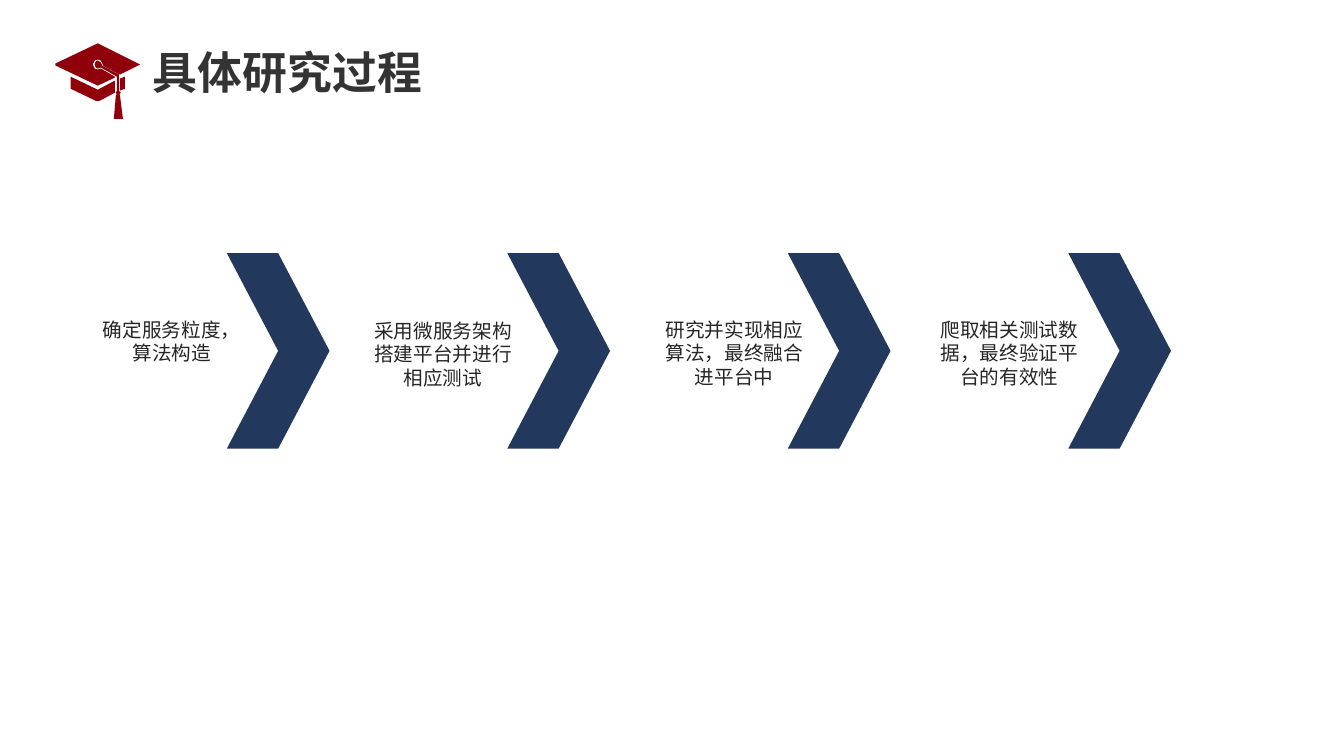
from dataclasses import dataclass

from lxml.etree import SubElement
from pptx import Presentation
from pptx.dml.color import RGBColor
from pptx.enum.shapes import MSO_SHAPE
from pptx.enum.text import MSO_ANCHOR, PP_ALIGN
from pptx.oxml.ns import qn
from pptx.shapes.autoshape import Shape
from pptx.slide import Slide
from pptx.util import Pt

FONT = "Noto Sans CJK SC"
RED, NAVY, TITLE_GREY, TEXT_GREY = "8F000B", "22385C", "333333", "262626"

CHEVRON_LEFT, CHEVRON_TOP, CHEVRON_PITCH = 162, 180.8, 200.35
CHEVRON_WIDTH, CHEVRON_HEIGHT = 73.4, 139.7
LABEL_WIDTH, LINE_HEIGHT = 105.8, 17

# Graduation cap outlines, in units of 0.72 pt
CAP_UNIT = 0.72
CAP_OUTLINES = [
    # side of the cap, right of the tassel
    [(119, 90), (124, 88), (124, 76), (119, 78)],
    # skull of the cap
    [(70, 76), (70, 88), (95, 100), (97, 100.3), (99, 100), (114, 92), (114, 80), (97, 89)],
    # button and cord
    [(118, 75), (118, 74), (101, 65), (101, 64), (100, 61.5), (97, 60), (95, 61),
     (94, 64), (95, 67), (97, 68), (100, 67), (116, 76)],
    # board, cut out around the button
    [(139, 64), (97, 43), (55, 63), (55, 65), (97, 85), (114, 77), (114, 76),
     (100, 68), (97, 69), (94, 68), (92.5, 64), (94, 60.5), (97, 59), (100.5, 60.5),
     (102, 64), (102, 65), (119, 74)],
    # tassel
    [(118, 75), (118, 90), (120, 92), (118, 94), (119, 94), (122, 118), (113, 118),
     (115, 94), (116, 94), (115, 92), (116, 90), (116, 76)],
]


@dataclass
class Step:
    text: str
    left: float
    top: float
    lines: int


STEPS = [
    Step("确定服务粒度，算法构造", 69.8, 226.8, 2),
    Step("采用微服务架构搭建平台并进行相应测试", 263.6, 227.5, 3),
    Step("研究并实现相应算法，最终融合进平台中", 471.6, 226.8, 3),
    Step("爬取相关测试数据，最终验证平台的有效性", 668.2, 226.8, 3),
]


def color(value: str) -> RGBColor:
    return RGBColor.from_string(value)


def paint(shape: Shape, fill: str) -> None:
    shape.shadow.inherit = False
    shape.fill.solid()
    shape.fill.fore_color.rgb = color(fill)
    shape.line.fill.background()


def add_text(page: Slide, text: str, left: float, top: float, width: float,
             height: float, size: float, ink: str, bold: bool = False) -> Shape:
    box = page.shapes.add_textbox(Pt(left), Pt(top), Pt(width), Pt(height))
    box.text_frame.word_wrap = True
    para = box.text_frame.paragraphs[0]
    para.text = text
    para.font.name = FONT
    para.font.size = Pt(size)
    para.font.bold = bold
    para.font.color.rgb = color(ink)
    # East Asian typeface
    defaults = para._p.pPr.find(qn("a:defRPr"))
    SubElement(defaults, qn("a:ea")).set("typeface", FONT)
    return box


def add_cap(page: Slide) -> None:
    first, *others = CAP_OUTLINES
    builder = page.shapes.build_freeform(*first[0], scale=Pt(CAP_UNIT))
    builder.add_line_segments(first[1:], close=True)
    for outline in others:
        builder.move_to(*outline[0])
        builder.add_line_segments(outline[1:], close=True)
    paint(builder.convert_to_shape(), RED)


def add_title(page: Slide, text: str) -> None:
    box = add_text(page, text, 102.2, 26.6, 414, 54, 32, TITLE_GREY, bold=True)
    box.text_frame.vertical_anchor = MSO_ANCHOR.MIDDLE
    box.text_frame.paragraphs[0].line_spacing = 0.9


def add_chevron(page: Slide, index: int) -> None:
    left = CHEVRON_LEFT + index * CHEVRON_PITCH
    chevron = page.shapes.add_shape(MSO_SHAPE.CHEVRON, Pt(left), Pt(CHEVRON_TOP),
                                    Pt(CHEVRON_WIDTH), Pt(CHEVRON_HEIGHT))
    paint(chevron, NAVY)


def add_label(page: Slide, step: Step) -> None:
    box = add_text(page, step.text, step.left, step.top, LABEL_WIDTH,
                   step.lines * LINE_HEIGHT, 14, TEXT_GREY)
    frame = box.text_frame
    frame.margin_left = frame.margin_right = frame.margin_top = frame.margin_bottom = Pt(0)
    frame.paragraphs[0].alignment = PP_ALIGN.CENTER


def main() -> None:
    deck = Presentation()
    deck.slide_width, deck.slide_height = Pt(960), Pt(540)
    page = deck.slides.add_slide(deck.slide_layouts[6])

    # Heading
    add_cap(page)
    add_title(page, "具体研究过程")

    # Process steps
    for index, step in enumerate(STEPS):
        add_chevron(page, index)
        add_label(page, step)

    deck.save("out.pptx")


if __name__ == "__main__":
    main()
